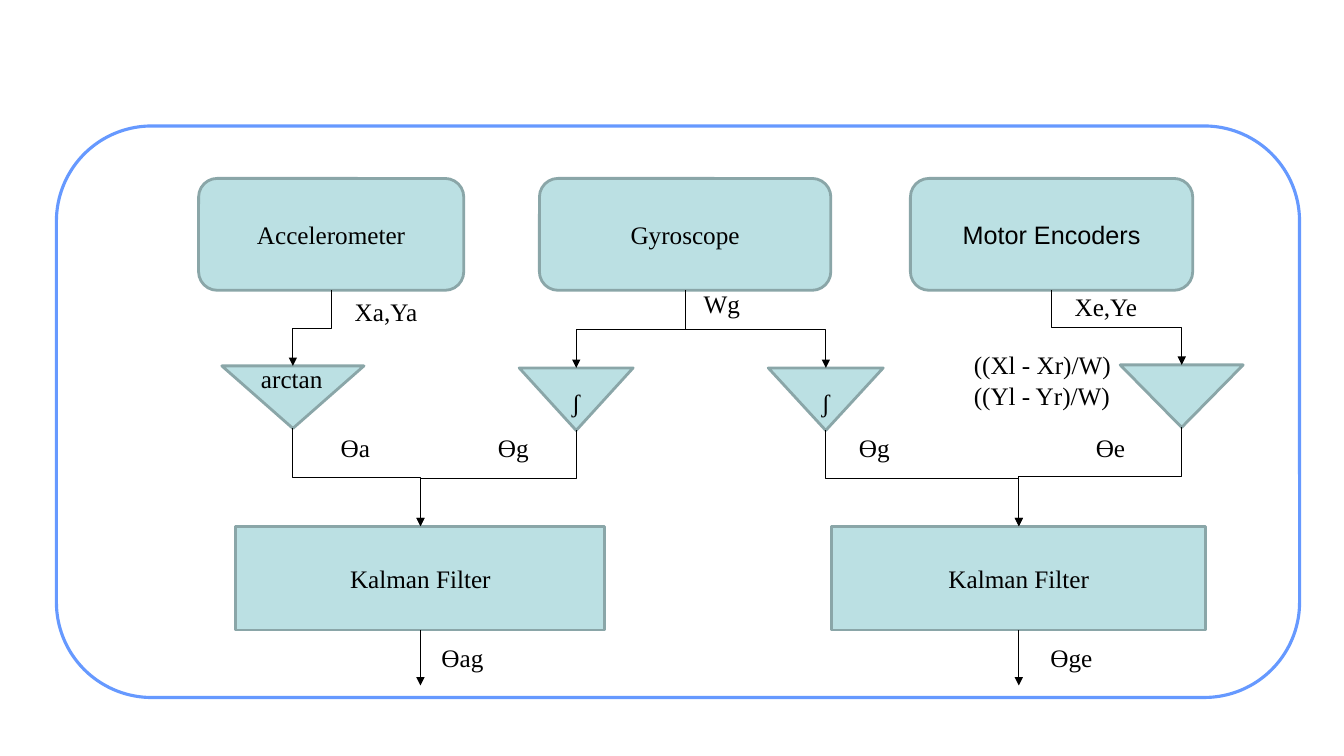
from lxml import etree
from pptx import Presentation
from pptx.dml.color import RGBColor
from pptx.enum.shapes import MSO_CONNECTOR as Line, MSO_SHAPE as Shape
from pptx.enum.text import MSO_ANCHOR as Anchor, PP_ALIGN as Align
from pptx.oxml.ns import qn
from pptx.util import Inches, Pt

SERIF = "Times New Roman"
WHITE, TEAL, TEAL_EDGE, BLUE, BLACK = "FFFFFF", "BBE0E3", "8AA6A8", "6699FF", "000000"


def paint(color_format, color):
    color_format.rgb = RGBColor.from_string(color)


def write(frame, text, align, font=SERIF):
    frame.text = text
    for paragraph in frame.paragraphs:
        paragraph.alignment = align
        paragraph.font.name = font
        paragraph.font.size = Pt(18)
        paint(paragraph.font.color, BLACK)


def block(slide, kind, left, top, width, height, fill=TEAL, edge=TEAL_EDGE, weight=2):
    shape = slide.shapes.add_shape(kind, Inches(left), Inches(top), Inches(width), Inches(height))
    shape.shadow.inherit = False
    shape.fill.solid()
    paint(shape.fill.fore_color, fill)
    paint(shape.line.color, edge)
    shape.line.width = Pt(weight)
    return shape


def named_block(slide, kind, box, name, font=SERIF):
    shape = block(slide, kind, *box)
    shape.text_frame.vertical_anchor = Anchor.MIDDLE
    write(shape.text_frame, name, Align.CENTER, font)
    return shape


def label(slide, left, top, width, text, height=0.4):
    box = slide.shapes.add_textbox(Inches(left), Inches(top), Inches(width), Inches(height))
    box.text_frame.word_wrap = True
    write(box.text_frame, text, Align.LEFT)


def arrow(slide, kind, x1, y1, x2, y2):
    connector = slide.shapes.add_connector(kind, int(x1), int(y1), int(x2), int(y2))
    paint(connector.line.color, BLACK)
    connector.line.width = Pt(0.75)
    etree.SubElement(connector.line._get_or_add_ln(), qn("a:tailEnd"), type="triangle")
    etree.SubElement(connector._element.spPr, qn("a:effectLst"))
    return connector


def link(slide, source, target):
    x1, y1 = source.left + source.width / 2, source.top + source.height
    x2, y2 = target.left + target.width / 2, target.top
    middle_x, middle_y = (x1 + x2) / 2, (y1 + y2) / 2
    half_drop, half_shift = (y2 - y1) / 2, abs(x2 - x1) / 2
    elbow = arrow(slide, Line.ELBOW, middle_x - half_drop, middle_y - half_shift,
                  middle_x + half_drop, middle_y + half_shift)
    turn = elbow._element.spPr.find(qn("a:xfrm"))
    if x2 < x1:
        turn.set("rot", str(90 * 60000))
    else:
        turn.set("rot", str(270 * 60000))
        turn.set("flipH", "1")


def sensor_row(slide, left, top, height):
    sensors = [(0, 2.63, "Accelerometer", SERIF), (3.38, 2.89, "Gyroscope", SERIF),
               (7.06, 2.8, "Motor Encoders", "Arial")]
    readings = [(1.45, 1.12, 0.96, "Xa,Ya"), (4.91, 1.04, 0.85, "Wg"), (8.59, 1.07, 1.14, "Xe,Ye")]
    for x, y, width, text in readings:
        label(slide, left + x, top + y, width, text)
    return [named_block(slide, Shape.ROUNDED_RECTANGLE, (left + x, top, width, height), name, font)
            for x, width, name, font in sensors]


def conversion_row(slide, left, top, height):
    triangles = [(0, 0.01, 1.41, ""), (2.95, 0.03, 1.13, "ʃ"),
                 (5.42, 0.03, 1.14, "ʃ"), (8.91, 0, 1.22, "")]
    converters = []
    for x, y, width, symbol in triangles:
        converter = block(slide, Shape.FLOWCHART_MERGE, left + x, top + y, width, height)
        if symbol:
            frame = converter.text_frame
            frame.vertical_anchor = Anchor.TOP
            frame.margin_top, frame.margin_bottom = Inches(0.19), 0
            write(frame, symbol, Align.CENTER)
        converters.append(converter)
    label(slide, left + 0.29, top - 0.06, 1.42, "arctan")
    label(slide, left + 7.36, top - 0.2, 1.67, "((Xl - Xr)/W)\n((Yl - Yr)/W)", 0.71)
    for x, text in [(1.08, "Ɵa"), (2.64, "Ɵg"), (6.22, "Ɵg"), (8.57, "Ɵe")]:
        label(slide, left + x, top + 0.62, 0.65, text)
    return converters


def filter_row(slide, left, top, height):
    filters = []
    for x, width, label_x, angle in [(0, 3.66, 1.94, "Ɵag"), (5.91, 3.71, 7.98, "Ɵge")]:
        box = named_block(slide, Shape.RECTANGLE, (left + x, top, width, height), "Kalman Filter")
        center, bottom = box.left + box.width / 2, box.top + box.height
        arrow(slide, Line.STRAIGHT, center, bottom, center, bottom + Inches(0.55))
        label(slide, left + label_x, top + 1.1, 0.75, angle)
        filters.append(box)
    return filters


def fusion_slide(deck):
    slide = deck.slides.add_slide(deck.slide_layouts[6])
    block(slide, Shape.ROUNDED_RECTANGLE, 0.56, 1.25, 12.33, 5.67, WHITE, BLUE, 2.25)
    accelerometer, gyroscope, encoders = sensor_row(slide, 1.97, 1.77, 1.11)
    arctan, left_integral, right_integral, wheel = conversion_row(slide, 2.2, 3.62, 0.62)
    left_filter, right_filter = filter_row(slide, 2.34, 5.22, 1.03)
    for source, target in [(accelerometer, arctan), (gyroscope, left_integral),
                           (gyroscope, right_integral), (encoders, wheel),
                           (arctan, left_filter), (left_integral, left_filter),
                           (right_integral, right_filter), (wheel, right_filter)]:
        link(slide, source, target)


deck = Presentation()
deck.slide_width, deck.slide_height = Inches(13.33), Inches(7.5)
fusion_slide(deck)
deck.save("out.pptx")
